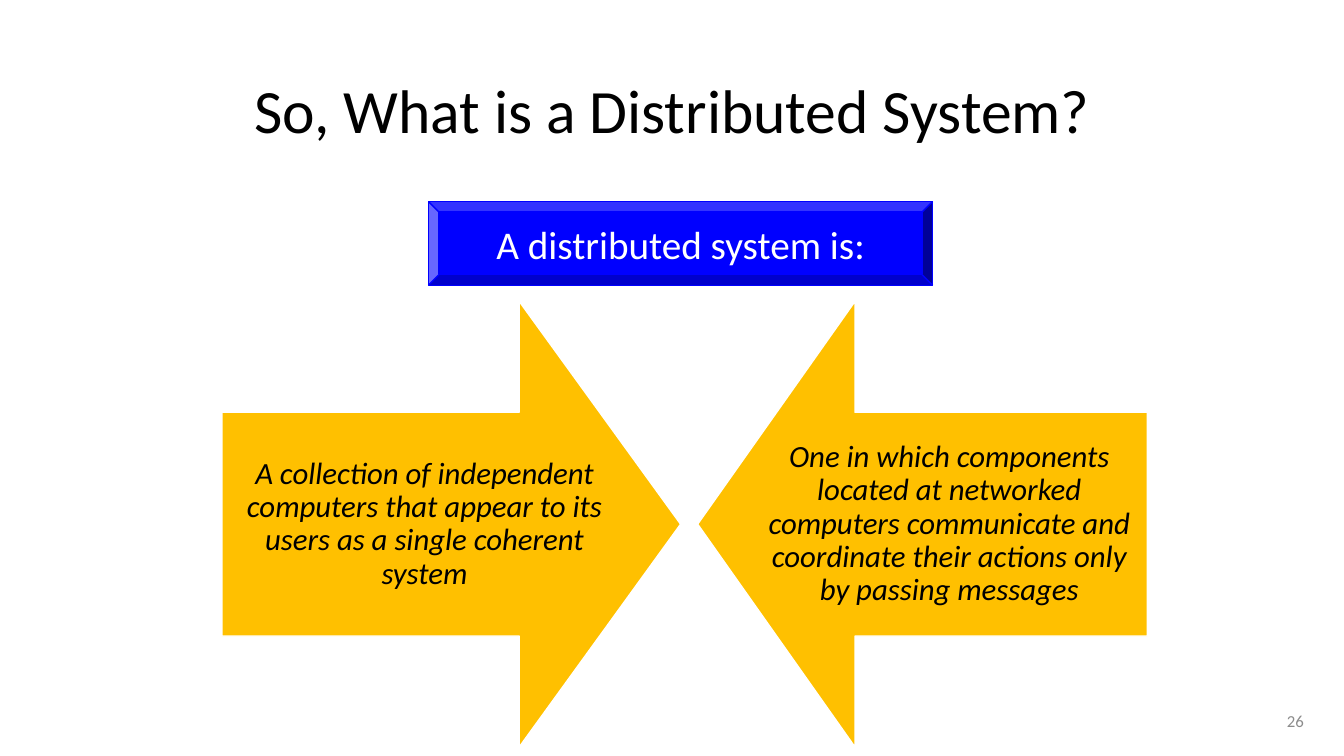
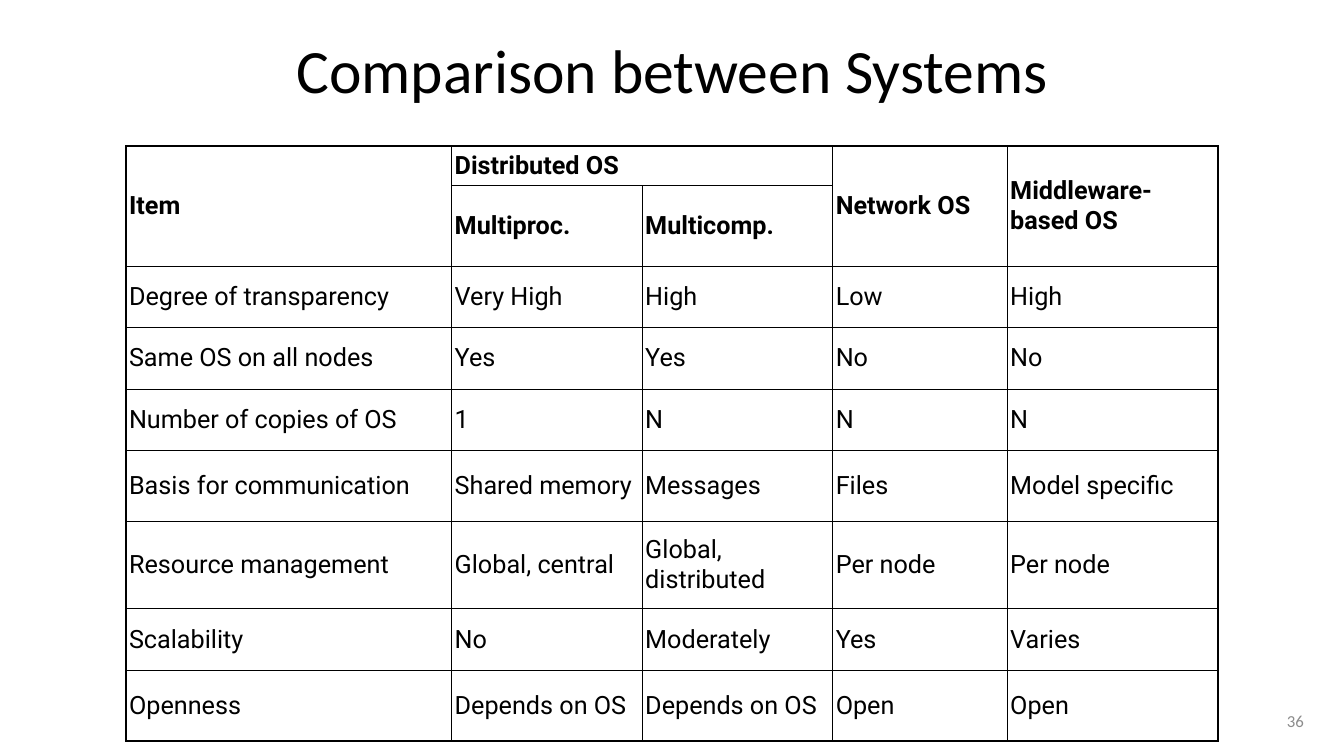
from lxml import etree
from pptx import Presentation
from pptx import util as u
from pptx.dml.color import RGBColor
from pptx.enum import shapes, text
from pptx.oxml import ns

COLORS = {
    "black": "000000",
    "white": "FFFFFF",
    "blue": "0000FF",
    "amber": "FFC000",
    "gray": "8C8C8C",
}
BODY_FONT = "Calibri"
TABLE_FONT = "Roboto"
THIN, THICK = 0.75, 1.5
CENTER, LEFT, RIGHT = text.PP_ALIGN.CENTER, text.PP_ALIGN.LEFT, text.PP_ALIGN.RIGHT


def color(name):
    return RGBColor.from_string(COLORS[name])


class Deck:
    """Holds the shared style and the slide being filled."""

    def __init__(self):
        self.presentation = Presentation()
        self.presentation.slide_width = u.Inches(13.33)
        self.presentation.slide_height = u.Inches(7.5)
        self.slide = None

    def new_slide(self, title, title_top, number):
        layout = self.presentation.slide_layouts.get_by_name("Title Only")
        self.slide = self.presentation.slides.add_slide(layout)
        # Title
        shape = self.slide.shapes.title
        shape.left, shape.top = u.Inches(0.92), u.Inches(title_top)
        shape.width, shape.height = u.Inches(11.5), u.Inches(1.45)
        self.set_text(shape.text_frame, title, 44, spacing=0.9)
        # Slide number
        box = self.slide.shapes.add_textbox(
            u.Inches(10.03), u.Inches(6.95), u.Inches(3), u.Inches(0.4))
        self.set_text(box.text_frame, number, 12, "gray", RIGHT)

    def set_text(self, frame, words, size, ink="black", align=CENTER,
                 spacing=None, italic=False):
        frame.text = words
        frame.word_wrap = True
        frame.auto_size = text.MSO_AUTO_SIZE.NONE
        frame.vertical_anchor = text.MSO_ANCHOR.MIDDLE
        self.style_paragraph(frame.paragraphs[0], size, ink, align, BODY_FONT,
                             spacing=spacing, italic=italic)

    def style_paragraph(self, paragraph, size, ink, align, font_name,
                        spacing=None, italic=False, bold=False):
        paragraph.alignment = align
        if spacing:
            paragraph.line_spacing = spacing
        for run in paragraph.runs:
            run.font.name = font_name
            run.font.size = u.Pt(size)
            run.font.color.rgb = color(ink)
            run.font.italic = italic
            run.font.bold = bold

    def paint(self, shape, fill, line):
        shape.shadow.inherit = False
        shape.fill.solid()
        shape.fill.fore_color.rgb = color(fill)
        shape.line.color.rgb = color(line)
        shape.line.width = u.Pt(1)

    def bevel(self, words, left, top, width, height):
        shape = self.slide.shapes.add_shape(
            shapes.MSO_SHAPE.BEVEL, u.Inches(left), u.Inches(top),
            u.Inches(width), u.Inches(height))
        self.paint(shape, "blue", "blue")
        self.set_text(shape.text_frame, words, 28, "white")

    def arrow(self, words, tail, neck, tip):
        """Block arrow pointing from x = tail to x = tip."""
        middle, half_head, half_shaft = 5.2, 2.21, 1.11
        points = [(tail, middle - half_shaft), (neck, middle - half_shaft),
                  (neck, middle - half_head), (tip, middle),
                  (neck, middle + half_head), (neck, middle + half_shaft),
                  (tail, middle + half_shaft)]
        points = [(u.Inches(x), u.Inches(y)) for x, y in points]
        builder = self.slide.shapes.build_freeform(*points[0])
        builder.add_line_segments(points[1:], close=True)
        shape = builder.convert_to_shape()
        self.paint(shape, "amber", "white")
        frame = shape.text_frame
        insets = (0.11, 0.64) if tip > tail else (0.64, 0.11)
        frame.margin_left, frame.margin_right = map(u.Inches, insets)
        frame.margin_top = frame.margin_bottom = u.Inches(0.87)
        self.set_text(frame, words, 22, spacing=0.9, italic=True)

    def table(self, rows, left, top, widths, heights, merges, header_rows):
        table = self.slide.shapes.add_table(
            len(rows), len(widths), u.Inches(left), u.Inches(top),
            u.Inches(sum(widths)), u.Inches(sum(heights))).table
        table.first_row = table.horz_banding = False
        for column, width in zip(table.columns, widths):
            column.width = u.Inches(width)
        for row, height in zip(table.rows, heights):
            row.height = u.Inches(height)
        last_row, last_column = len(rows) - 1, len(widths) - 1
        for r, row in enumerate(rows):
            for c, words in enumerate(row):
                cell = table.cell(r, c)
                outer = {"L": c == 0, "R": c == last_column,
                         "T": r == 0, "B": r == last_row}
                self.style_cell(cell, outer)
                if words:
                    cell.text = words
                    self.style_paragraph(
                        cell.text_frame.paragraphs[0], 18, "black",
                        LEFT, TABLE_FONT, bold=r < header_rows)
        for first, last in merges:
            table.cell(*first).merge(table.cell(*last))

    def style_cell(self, cell, outer):
        cell.vertical_anchor = text.MSO_ANCHOR.MIDDLE
        cell.margin_left = cell.margin_right = u.Inches(0.03)
        cell.margin_top = cell.margin_bottom = u.Inches(0.03)
        properties = cell._tc.get_or_add_tcPr()
        for side, is_outer in outer.items():
            line = etree.SubElement(properties, ns.qn("a:ln" + side))
            line.set("w", str(u.Pt(THICK if is_outer else THIN)))
            fill = etree.SubElement(line, ns.qn("a:solidFill"))
            etree.SubElement(fill, ns.qn("a:srgbClr")).set("val", COLORS["black"])
        cell.fill.background()


def main():
    deck = Deck()

    # Definition slide
    deck.new_slide("So, What is a Distributed System?", 0.4, "26")
    deck.bevel("A distributed system is:", 4.25, 2, 5, 0.83)
    deck.arrow("A collection of independent computers that appear to its users "
               "as a single coherent system", tail=2.2, neck=5.15, tip=6.75)
    deck.arrow("One in which components located at networked computers "
               "communicate and coordinate their actions only by passing "
               "messages", tail=11.38, neck=8.48, tip=6.92)

    # Comparison slide
    deck.new_slide("Comparison between Systems", 0, "36")
    rows = [
        ["Item", "Distributed OS", None, "Network OS", "Middleware-based OS"],
        [None, "Multiproc.", "Multicomp.", None, None],
        ["Degree of transparency", "Very High", "High", "Low", "High"],
        ["Same OS on all nodes", "Yes", "Yes", "No", "No"],
        ["Number of copies of OS", "1", "N", "N", "N"],
        ["Basis for communication", "Shared memory", "Messages", "Files",
         "Model specific"],
        ["Resource management", "Global, central", "Global, distributed",
         "Per node", "Per node"],
        ["Scalability", "No", "Moderately", "Yes", "Varies"],
        ["Openness", "Depends on OS", "Depends on OS", "Open", "Open"],
    ]
    deck.table(
        rows, 1.25, 1.45,
        widths=[3.23, 1.89, 1.89, 1.73, 2.09],
        heights=[0.39, 0.8, 0.61, 0.61, 0.61, 0.7, 0.87, 0.61, 0.7],
        merges=[((0, 1), (0, 2))] + [((0, c), (1, c)) for c in (0, 3, 4)],
        header_rows=2)

    deck.presentation.save("out.pptx")


if __name__ == "__main__":
    main()
